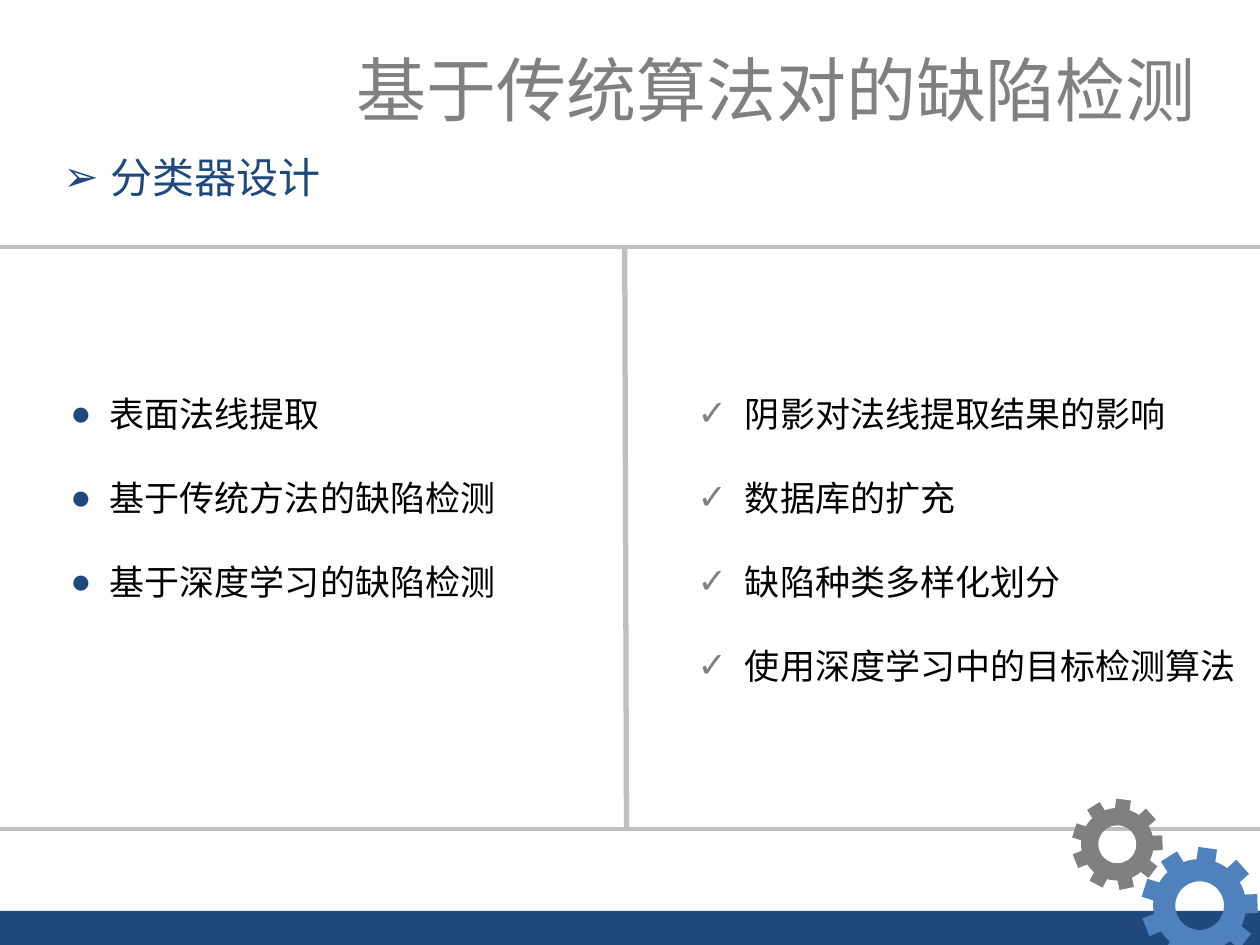
import math
from dataclasses import dataclass

from lxml import etree
from pptx import Presentation
from pptx import util as u
from pptx.dml.color import RGBColor
from pptx.enum import shapes, text
from pptx.oxml.ns import qn


@dataclass(frozen=True)
class Theme:
    font: str = "Noto Sans CJK SC"
    navy: str = "1F497D"
    blue: str = "4F81BD"
    gray: str = "808080"
    rule: str = "BFBFBF"
    black: str = "000000"
    title_size: int = 40
    heading_size: int = 24
    list_size: int = 20


theme = Theme()
Pt = u.Pt
color = RGBColor.from_string


def write(para, words, size, ink):
    """Add one run in the deck's font, for Latin and East Asian text."""
    span = para.add_run()
    span.text = words
    span.font.size = Pt(size)
    span.font.bold = False
    span.font.color.rgb = color(ink)
    span.font.name = theme.font
    east = etree.SubElement(span.font._element, qn("a:ea"))
    east.set("typeface", theme.font)


def set_bullet(para, mark, ink, left, hang):
    """Give a paragraph a coloured bullet and a hanging indent, in points."""
    props = para._p.get_or_add_pPr()
    props.set("marL", str(Pt(left)))
    props.set("indent", str(Pt(-hang)))
    tint = etree.SubElement(props, qn("a:buClr"))
    etree.SubElement(tint, qn("a:srgbClr")).set("val", ink)
    etree.SubElement(props, qn("a:buChar")).set("char", mark)


deck = Presentation()
deck.slide_width, deck.slide_height = Pt(720), Pt(540)
page = deck.slides.add_slide(deck.slide_layouts.get_by_name("Comparison"))
holders = {box.placeholder_format.idx: box for box in page.placeholders}
spare = holders.pop(3)._element
spare.getparent().remove(spare)

# Placeholder frames: left, top, width, height
frames = {
    0: (191.5, 23, 499, 55.5),
    1: (29, 83, 284, 36),
    2: (-3, 196.5, 360, 152.5),
    4: (355.5, 196.5, 360, 201),
}
for index, (left, top, width, height) in frames.items():
    box = holders[index]
    box.left, box.top = Pt(left), Pt(top)
    box.width, box.height = Pt(width), Pt(height)
    frame = box.text_frame
    frame.auto_size = text.MSO_AUTO_SIZE.NONE
    frame.word_wrap = index != 0
    frame.vertical_anchor = text.MSO_ANCHOR.MIDDLE if index < 2 else text.MSO_ANCHOR.TOP

# Title and heading
para = holders[0].text_frame.paragraphs[0]
para.alignment = text.PP_ALIGN.RIGHT
write(para, "基于传统算法对的缺陷检测", theme.title_size, theme.gray)

para = holders[1].text_frame.paragraphs[0]
set_bullet(para, "➢", theme.navy, 27, 27)
para.space_before = Pt(0)
write(para, "分类器设计", theme.heading_size, theme.navy)

# Two lists
lists = [
    (2, "●", theme.navy, 58.5, 22.5,
     ["表面法线提取", "基于传统方法的缺陷检测", "基于深度学习的缺陷检测"]),
    (4, "✓", theme.gray, 63, 27,
     ["阴影对法线提取结果的影响", "数据库的扩充", "缺陷种类多样化划分",
      "使用深度学习中的目标检测算法"]),
]
for index, mark, ink, left, hang, items in lists:
    frame = holders[index].text_frame
    for number, item in enumerate(items):
        para = frame.add_paragraph() if number else frame.paragraphs[0]
        para.level = 1
        set_bullet(para, mark, ink, left, hang)
        para.line_spacing = Pt(48)
        para.space_before = Pt(0)
        write(para, item, theme.list_size, theme.black)

# Footer band
band = page.shapes.add_shape(shapes.MSO_SHAPE.RECTANGLE, 0, Pt(520.5), Pt(720), Pt(31))
band.shadow.inherit = False
band.fill.solid()
band.fill.fore_color.rgb = color(theme.navy)
band.line.fill.background()

# Dividing lines: start, end, weight
top, bottom = 141, 473.75
for x1, y1, x2, y2, weight in [
    (-3, top, 728, top, 2.25),
    (-3, bottom, 728, bottom, 2.25),
    (357, top, 358, bottom, 3),
]:
    divider = page.shapes.add_connector(
        shapes.MSO_CONNECTOR.STRAIGHT, Pt(x1), Pt(y1), Pt(x2), Pt(y2))
    divider.line.color.rgb = color(theme.rule)
    divider.line.width = Pt(weight)
    etree.SubElement(divider._element.spPr, qn("a:effectLst"))

# Gears: nine square teeth on a ring, with a round hole
teeth, first_angle = 9, -2
root, tip, half_tooth, hole = 26, 33.1, 5.4, 13.9
step = 360 / teeth
for center_x, center_y, scale, ink in [
    (685.5, 517.5, 1, theme.blue),
    (638.5, 482.5, 0.78, theme.gray),
]:
    polar = []
    for tooth in range(teeth):
        angle = first_angle + tooth * step
        for along, across in [(root, -half_tooth), (tip, -half_tooth),
                              (tip, half_tooth), (root, half_tooth)]:
            turn = math.degrees(math.atan2(across, along))
            polar.append((math.hypot(along, across), angle + turn))
        polar += [(math.hypot(root, half_tooth), angle + step * part)
                  for part in (0.4, 0.5, 0.6)]
    ring = [(hole, -angle) for angle in range(0, 360, 6)]
    outline, opening = [
        [(Pt(center_x + scale * radius * math.cos(math.radians(angle))),
          Pt(center_y + scale * radius * math.sin(math.radians(angle))))
         for radius, angle in contour]
        for contour in (polar, ring)
    ]
    builder = page.shapes.build_freeform(*outline[0])
    builder.add_line_segments(outline[1:], close=True)
    builder.move_to(*opening[0])
    builder.add_line_segments(opening[1:], close=True)
    gear = builder.convert_to_shape()
    gear.shadow.inherit = False
    gear.fill.solid()
    gear.fill.fore_color.rgb = color(ink)
    gear.line.fill.background()

deck.save("out.pptx")
